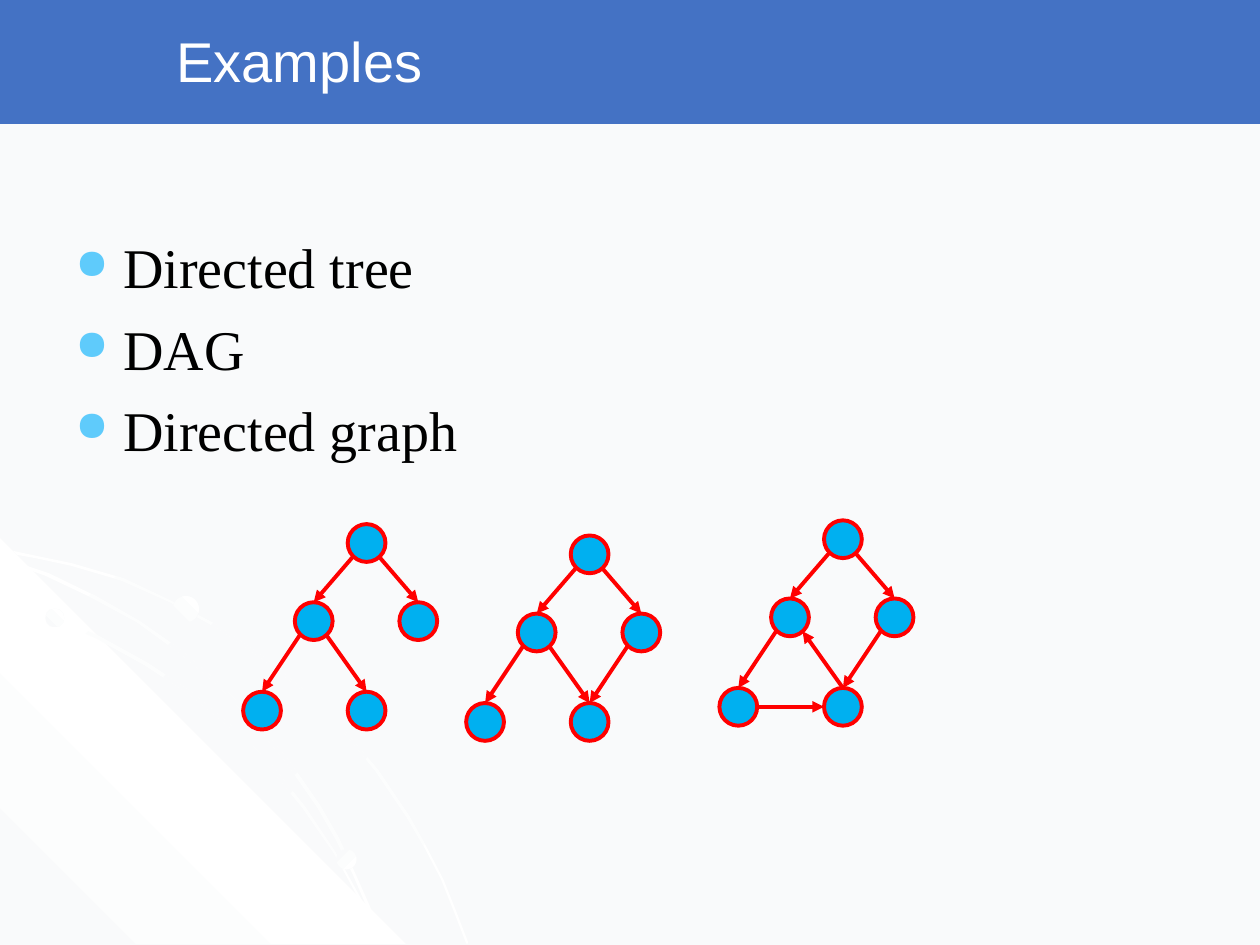
import pptx
import pptx.dml.color
import pptx.enum.shapes
import pptx.enum.text
import pptx.oxml.ns
import pptx.util
from lxml import etree

Inches = pptx.util.Inches
Pt = pptx.util.Pt
RGBColor = pptx.dml.color.RGBColor
MSO_SHAPE = pptx.enum.shapes.MSO_SHAPE
qn = pptx.oxml.ns.qn

PALE = RGBColor(0xF9, 0xFA, 0xFB)
WHITE = RGBColor(0xFF, 0xFF, 0xFF)
BLACK = RGBColor(0, 0, 0)
HEADER_BLUE = RGBColor(0x44, 0x72, 0xC4)
BULLET_BLUE = RGBColor(0x5F, 0xCB, 0xFB)
NODE_BLUE = RGBColor(0x00, 0xB0, 0xF0)
RED = RGBColor(0xFF, 0, 0)

TRIANGLE = [(3.22, 7.49), (0, 7.49), (0, 4.27)]
UPPER_ARC = [
    (0.57, 4.47), (0.28, 4.41), (0, 4.35), (0, 4.38), (0.28, 4.43), (0.56, 4.49),
    (0.97, 4.61), (1.35, 4.78), (1.73, 4.99), (2.08, 5.23), (2.41, 5.49), (2.71, 5.79),
    (2.98, 6.12), (3.23, 6.49), (3.37, 6.73), (3.5, 6.98), (3.6, 7.23), (3.7, 7.49),
    (3.72, 7.49), (3.62, 7.23), (3.52, 6.98), (3.39, 6.73), (3.25, 6.48), (3, 6.11),
    (2.72, 5.78), (2.42, 5.48), (2.09, 5.21), (1.74, 4.97), (1.36, 4.77), (0.98, 4.59)]
LOWER_ARC = [
    (2.85, 7.14), (2.94, 7.32), (3.01, 7.49), (3.03, 7.49), (2.96, 7.3), (2.86, 7.12),
    (2.66, 6.76), (2.42, 6.4), (2.15, 6.06), (1.84, 5.76), (1.52, 5.49), (1.17, 5.26),
    (0.79, 5.05), (0.41, 4.88), (0, 4.75), (0, 4.77), (0.39, 4.9), (0.77, 5.07),
    (1.15, 5.28), (1.5, 5.51), (1.83, 5.78), (2.13, 6.08), (2.4, 6.41), (2.65, 6.77)]
MIDDLE_ARC = [
    (0, 4.42), (0, 4.44), (0.36, 4.57), (0.74, 4.75), (1.09, 4.94), (1.42, 5.18),
    (1.73, 5.44), (2.02, 5.75), (2.27, 6.05), (2.52, 6.41), (2.67, 6.67), (2.8, 6.94),
    (2.92, 7.22), (3.01, 7.49), (3.03, 7.49), (2.94, 7.2), (2.82, 6.93), (2.69, 6.65),
    (2.54, 6.39), (2.29, 6.03), (2.04, 5.73), (1.75, 5.43), (1.44, 5.16), (1.11, 4.93),
    (0.76, 4.73), (0.39, 4.55)]

NODE_SIZE = 0.3
# Node positions relative to the root
NODE_OFFSETS = {"root": (0, 0), "left": (-0.42, 0.62), "right": (0.41, 0.62),
                "leaf": (-0.83, 1.33), "middle": (0, 1.33)}
# Points on a node's outline relative to its top left corner
SITES = {"top": (0.15, 0), "west": (0, 0.15), "east": (0.3, 0.15),
         "southwest": (0.04, 0.26), "southeast": (0.25, 0.26)}
TREE_EDGES = [("root", "southwest", "left", "top"), ("left", "southwest", "leaf", "top"),
              ("root", "southeast", "right", "top")]
LEFT_TO_MIDDLE = ("left", "southeast", "middle", "top")
RIGHT_TO_MIDDLE = ("right", "southwest", "middle", "top")
GRAPHS = [
    ((2.76, 4.16), TREE_EDGES + [LEFT_TO_MIDDLE]),
    ((4.53, 4.25), TREE_EDGES + [LEFT_TO_MIDDLE, RIGHT_TO_MIDDLE]),
    ((6.54, 4.13), TREE_EDGES + [("middle", "top", "left", "southeast"),
                                 ("leaf", "east", "middle", "west"), RIGHT_TO_MIDDLE]),
]


class SlideBuilder:
    heading_font = "Arial"
    body_font = "Times New Roman"
    text_size = Pt(32)
    edge_width = Pt(2.25)

    def __init__(self, slide):
        self.slide = slide
        slide.background.fill.solid()
        slide.background.fill.fore_color.rgb = PALE

    def set_font(self, paragraph, name, color):
        for run in paragraph.runs:
            run.font.name = name
            run.font.size = self.text_size
            run.font.color.rgb = color

    def gradient(self, shape, colors, angle):
        """Fill with evenly spaced colours and no outline."""
        shape.shadow.inherit = False
        shape.line.fill.background()
        shape.fill.gradient()
        grad = shape._element.spPr.find(qn("a:gradFill"))
        grad.clear()
        stops = etree.SubElement(grad, qn("a:gsLst"))
        for index, color in enumerate(colors):
            position = 100000 * index // (len(colors) - 1)
            stop = etree.SubElement(stops, qn("a:gs"), pos=str(position))
            etree.SubElement(stop, qn("a:srgbClr"), val=str(color))
        etree.SubElement(grad, qn("a:lin"), ang=str(angle * 60000), scaled="1")

    def outline(self, points, colors, angle):
        corners = [(Inches(x), Inches(y)) for x, y in points]
        builder = self.slide.shapes.build_freeform(*corners[0])
        builder.add_line_segments(corners[1:], close=True)
        self.gradient(builder.convert_to_shape(), colors, angle)

    def dot(self, x, y, size, angle):
        dot = self.slide.shapes.add_shape(
            MSO_SHAPE.OVAL, Inches(x), Inches(y), Inches(size), Inches(size))
        self.gradient(dot, [PALE, WHITE], angle)

    def filled(self, shapes, preset, box, fill, line, width):
        shape = shapes.add_shape(preset, *map(Inches, box))
        shape.shadow.inherit = False
        shape.fill.solid()
        shape.fill.fore_color.rgb = fill
        shape.line.color.rgb = line
        shape.line.width = width
        return shape

    def header(self, text):
        shapes = self.slide.shapes
        self.filled(shapes, MSO_SHAPE.RECTANGLE, (0, 0, 10, 0.97),
                    HEADER_BLUE, HEADER_BLUE, Pt(2))
        title = shapes.title
        shapes._spTree.append(title._element)  # bring in front of the band
        title.left, title.top = Inches(1.3), Inches(0.03)
        title.width, title.height = Inches(8.2), Inches(0.9)
        title.text_frame.text = text
        title.text_frame.vertical_anchor = pptx.enum.text.MSO_ANCHOR.MIDDLE
        heading = title.text_frame.paragraphs[0]
        heading.alignment = pptx.enum.text.PP_ALIGN.LEFT
        self.set_font(heading, self.heading_font, WHITE)

    def bullets(self, items, box):
        frame = self.slide.shapes.add_textbox(*map(Inches, box)).text_frame
        frame.word_wrap = True
        frame.text = "\n".join(items)
        for index, paragraph in enumerate(frame.paragraphs):
            properties = paragraph._p.get_or_add_pPr()
            indent = Inches(0.38)
            properties.set("marL", str(indent))
            properties.set("indent", str(-indent))
            color = etree.SubElement(properties, qn("a:buClr"))
            etree.SubElement(color, qn("a:srgbClr"), val=str(BULLET_BLUE))
            etree.SubElement(properties, qn("a:buSzPct"), val="75000")
            etree.SubElement(properties, qn("a:buChar"), char="●")
            if index:
                paragraph.space_before = Pt(8)
            self.set_font(paragraph, self.body_font, BLACK)

    def edge(self, shapes, start, end):
        edge = shapes.add_connector(pptx.enum.shapes.MSO_CONNECTOR.STRAIGHT,
                                    *map(Inches, start + end))
        edge.line.color.rgb = RED
        edge.line.width = self.edge_width
        etree.SubElement(edge.line._get_or_add_ln(), qn("a:tailEnd"), type="triangle")
        etree.SubElement(edge._element.spPr, qn("a:effectLst"))
        return edge

    def graph(self, root, edges):
        shapes = self.slide.shapes.add_group_shape().shapes
        corners = {name: (root[0] + dx, root[1] + dy)
                   for name, (dx, dy) in NODE_OFFSETS.items()}
        nodes = {name: self.filled(shapes, MSO_SHAPE.FLOWCHART_CONNECTOR,
                                   corner + (NODE_SIZE, NODE_SIZE),
                                   NODE_BLUE, RED, self.edge_width)
                 for name, corner in corners.items()}

        def point(name, site):
            return tuple(a + b for a, b in zip(corners[name], SITES[site]))

        for source, source_site, target, target_site in edges:
            edge = self.edge(shapes, point(source, source_site), point(target, target_site))
            if source_site == "top":
                edge.begin_connect(nodes[source], 0)
            if target_site == "top":
                edge.end_connect(nodes[target], 0)


def main():
    deck = pptx.Presentation()
    deck.slide_width, deck.slide_height = Inches(10), Inches(7.5)
    builder = SlideBuilder(deck.slides.add_slide(deck.slide_layouts[5]))

    builder.outline(UPPER_ARC, [WHITE, PALE, WHITE], 45)
    builder.outline(TRIANGLE, [PALE, WHITE, PALE], 315)
    for arc in (LOWER_ARC, MIDDLE_ARC):
        builder.outline(arc, [WHITE, PALE, WHITE], 45)
    for dot in ((0.36, 4.83, 0.15, 315), (2.67, 6.74, 0.16, 45), (1.37, 4.73, 0.21, 315)):
        builder.dot(*dot)

    builder.header("Examples")
    builder.bullets(["Directed tree", "DAG", "Directed graph"], (0.5, 1.8, 9, 5.33))
    for root, edges in GRAPHS:
        builder.graph(root, edges)
    deck.save("out.pptx")


if __name__ == "__main__":
    main()
